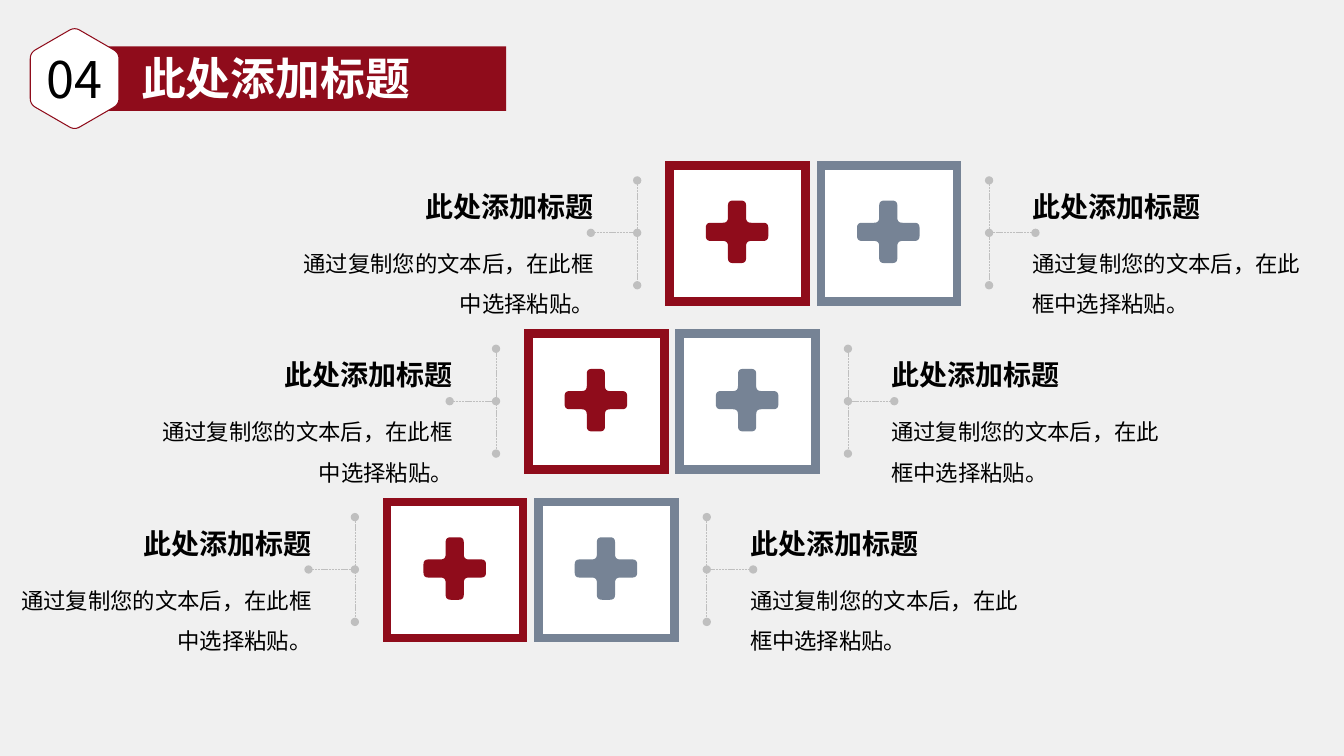
import math

from lxml import etree
from pptx import Presentation
from pptx.dml.color import RGBColor
from pptx.enum.dml import MSO_LINE
from pptx.enum.shapes import MSO_CONNECTOR, MSO_SHAPE
from pptx.enum.text import MSO_ANCHOR, MSO_AUTO_SIZE, PP_ALIGN
from pptx.oxml.ns import qn
from pptx.util import Inches, Pt

RECT = MSO_SHAPE.RECTANGLE
STRAIGHT = MSO_CONNECTOR.STRAIGHT
DASH = MSO_LINE.SQUARE_DOT
LEFT, CENTER, RIGHT = PP_ALIGN.LEFT, PP_ALIGN.CENTER, PP_ALIGN.RIGHT
MIDDLE, NO_FIT = MSO_ANCHOR.MIDDLE, MSO_AUTO_SIZE.NONE

FONT = "Noto Sans CJK SC"
COLORS = {"bg": "F0F0F0", "red": "8F0C1B", "slate": "768395",
          "gray": "BFBFBF", "white": "FFFFFF", "black": "000000"}
HEADING = "此处添加标题"
BODY = "通过复制您的文本后，在此框中选择粘贴。"
HEADING_FMT = {"size": Pt(20), "bold": True}
BODY_FMT = {"size": Pt(16), "bold": False}
NUMBER_FMT = {"size": Pt(36), "bold": False}
TITLE_FMT = {"size": Pt(32), "bold": True}
TILE = 1.35
TILE_STEP = 1.5


def rgb(name):
    """Return the named colour."""
    return RGBColor.from_string(COLORS[name])


def paint(sp, fill, line=None, width=0):
    """Set the fill and outline of a shape."""
    sp.shadow.inherit = False
    sp.fill.solid()
    sp.fill.fore_color.rgb = rgb(fill)
    if line is None:
        sp.line.fill.background()
        return
    sp.line.color.rgb = rgb(line)
    sp.line.width = Pt(width)
    ln = sp.element.spPr.find(qn("a:ln"))
    etree.SubElement(ln, qn("a:miter"), lim="800000")


def write(tf, text, fmt, color="black", align=LEFT, spacing=1.0):
    """Write one formatted paragraph into a text frame."""
    p = tf.paragraphs[0]
    p.alignment = align
    p.line_spacing = spacing
    r = p.add_run()
    r.text = text
    for key, value in fmt.items():
        setattr(r.font, key, value)
    r.font.color.rgb = rgb(color)
    r.font.name = FONT
    etree.SubElement(r.font._element, qn("a:ea"), typeface=FONT)


def add_text(s, box, text, fmt, align, spacing):
    """Add a wrapping text box."""
    tf = s.shapes.add_textbox(*map(Inches, box)).text_frame
    tf.word_wrap = True
    write(tf, text, fmt, align=align, spacing=spacing)


def add_rounded(s, corners, radius, steps=6):
    """Add a polygon whose corners are rounded by sampled curves."""
    points = []
    for i, (x, y) in enumerate(corners):
        ends = []
        for nx, ny in (corners[i - 1], corners[(i + 1) % len(corners)]):
            t = radius / math.hypot(nx - x, ny - y)
            ends.append((x + t * (nx - x), y + t * (ny - y)))
        (ax, ay), (bx, by) = ends
        for k in range(steps + 1):
            t = k / steps
            u = 1 - t
            points.append((Inches(u * u * ax + 2 * u * t * x + t * t * bx),
                           Inches(u * u * ay + 2 * u * t * y + t * t * by)))
    builder = s.shapes.build_freeform(*points[0])
    builder.add_line_segments(points[1:], close=True)
    return builder.convert_to_shape()


def add_dotted(s, x1, y1, x2, y2):
    """Add a dashed line with a dot at each end."""
    c = s.shapes.add_connector(STRAIGHT, *map(Inches, (x1, y1, x2, y2)))
    c.line.color.rgb = rgb("gray")
    c.line.width = Pt(0.5)
    c.line.dash_style = DASH
    ln = c.element.spPr.find(qn("a:ln"))
    for end in ("a:headEnd", "a:tailEnd"):
        etree.SubElement(ln, qn(end), type="oval")
    etree.SubElement(c.element.spPr, qn("a:effectLst"))


def add_tile(s, x, y, color):
    """Draw a framed square with a rounded plus sign."""
    sp = s.shapes.add_shape(RECT, *map(Inches, (x, y, TILE, TILE)))
    paint(sp, "white", color, 6)
    cx, cy, arm, half = x + 0.67, y + 0.66, 0.31, 0.09
    quarter = [(half, -arm), (half, -half), (arm, -half)]
    corners = []
    for _ in range(4):
        corners += [(cx + dx, cy + dy) for dx, dy in quarter]
        quarter = [(-dy, dx) for dx, dy in quarter]
    paint(add_rounded(s, corners, 0.05), color)


def add_item(s, x, y, side, color, body_w):
    """Draw a tile with its bracket and texts on the given side (-1 or 1)."""
    add_tile(s, x, y, color)
    edge = x + TILE if side > 0 else x
    spine, mid = edge + side * 0.32, y + 0.67
    add_dotted(s, spine, mid - 0.52, spine, mid + 0.52)
    add_dotted(s, spine, mid, spine + side * 0.46, mid)
    align = LEFT if side > 0 else RIGHT
    for text, fmt, dy, w, h, spacing in (
            (HEADING, HEADING_FMT, 0.23, 2.45, 0.43, 0.9),
            (BODY, BODY_FMT, 0.66, body_w, 0.86, 1.5)):
        left = edge + side * 0.65 - (0 if side > 0 else w)
        add_text(s, (left, y + dy, w, h), text, fmt, align, spacing)


def add_row(s, x, y):
    """Draw a red item and a slate item side by side."""
    add_item(s, x, y, -1, "red", 3.16)
    add_item(s, x + TILE_STEP, y, 1, "slate", 2.95)


def add_header(s, x, y):
    """Draw the banner, the numbered hexagon and the slide title."""
    sp = s.shapes.add_shape(RECT, *map(Inches, (x + 0.69, y + 0.18, 4.03, 0.64)))
    paint(sp, "red")
    w, h = 0.88, 1.02
    corners = [(x + fx * w, y - 0.01 + fy * h) for fx, fy in
               ((0.5, 0), (1, 0.25), (1, 0.75), (0.5, 1), (0, 0.75), (0, 0.25))]
    sp = add_rounded(s, corners, 0.06)
    paint(sp, "white", "red")
    sp.text_frame.vertical_anchor = MIDDLE
    write(sp.text_frame, "04", NUMBER_FMT, align=CENTER)

    title = s.shapes.title
    box = {"left": x + 0.98, "top": y + 0.17, "width": 2.89, "height": 0.64}
    for key, value in box.items():
        setattr(title, key, Inches(value))
    tf = title.text_frame
    for key, value in {"word_wrap": False, "auto_size": NO_FIT,
                       "vertical_anchor": MIDDLE}.items():
        setattr(tf, key, value)
    write(tf, HEADING, TITLE_FMT, "white", RIGHT)
    title.element.getparent().append(title.element)


def main():
    """Build and save the slide."""
    prs = Presentation()
    prs.slide_width, prs.slide_height = Inches(13.33), Inches(7.5)
    s = prs.slides.add_slide(prs.slide_layouts[5])
    s.background.fill.solid()
    s.background.fill.fore_color.rgb = rgb("bg")
    for i in range(3):
        add_row(s, 6.64 - 1.4 * i, 1.64 + 1.67 * i)
    add_header(s, 0.3, 0.28)
    prs.save("out.pptx")


if __name__ == "__main__":
    main()
